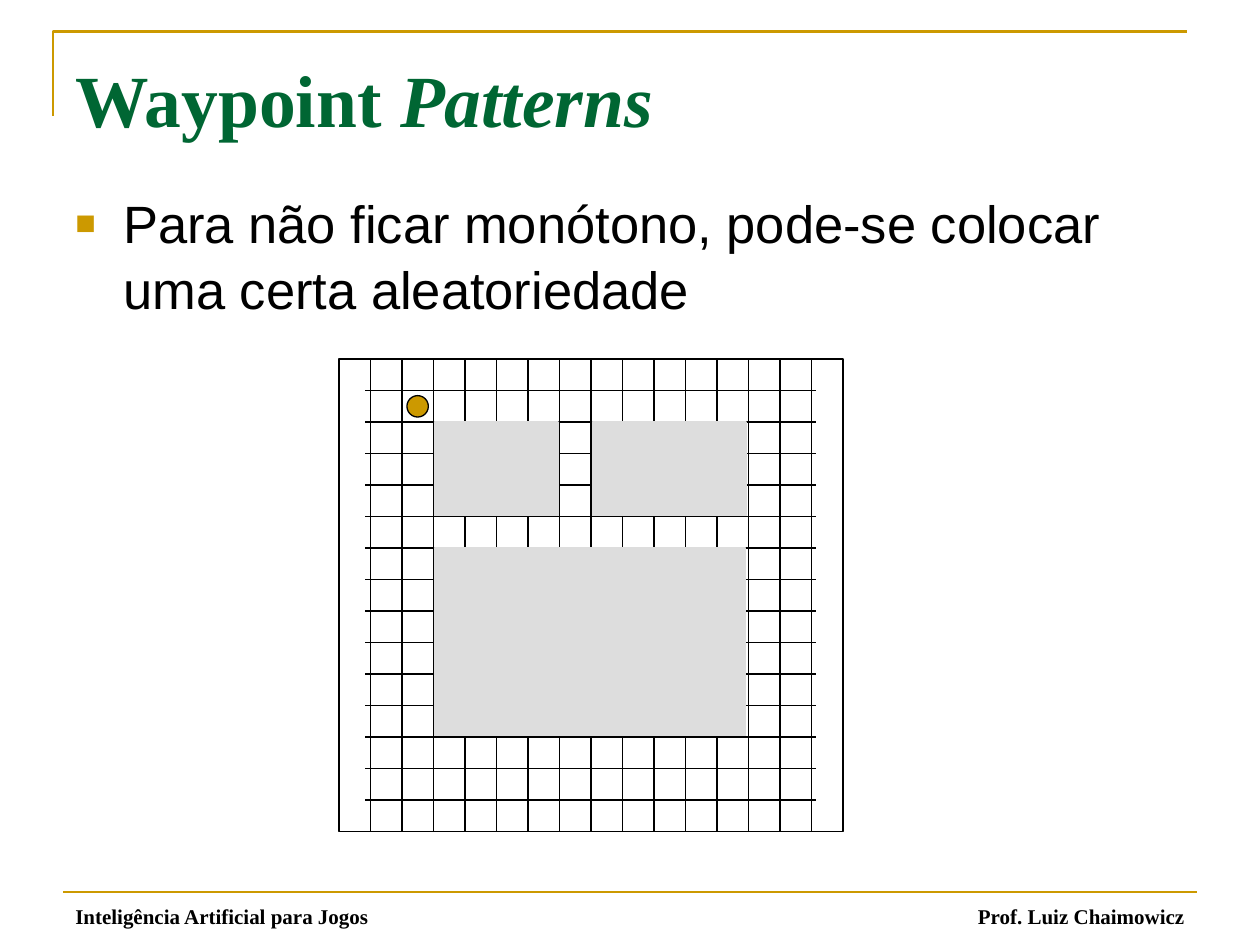
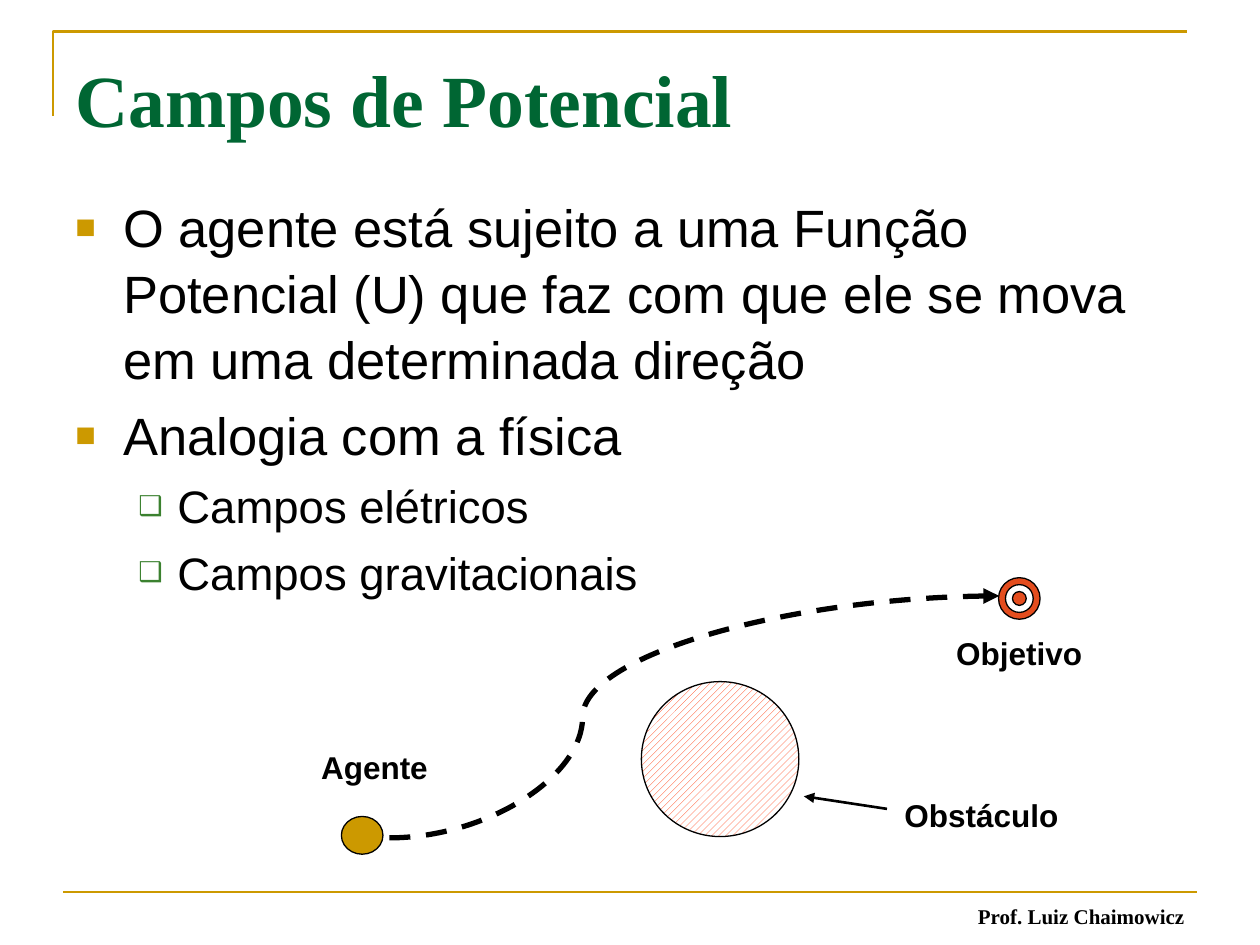
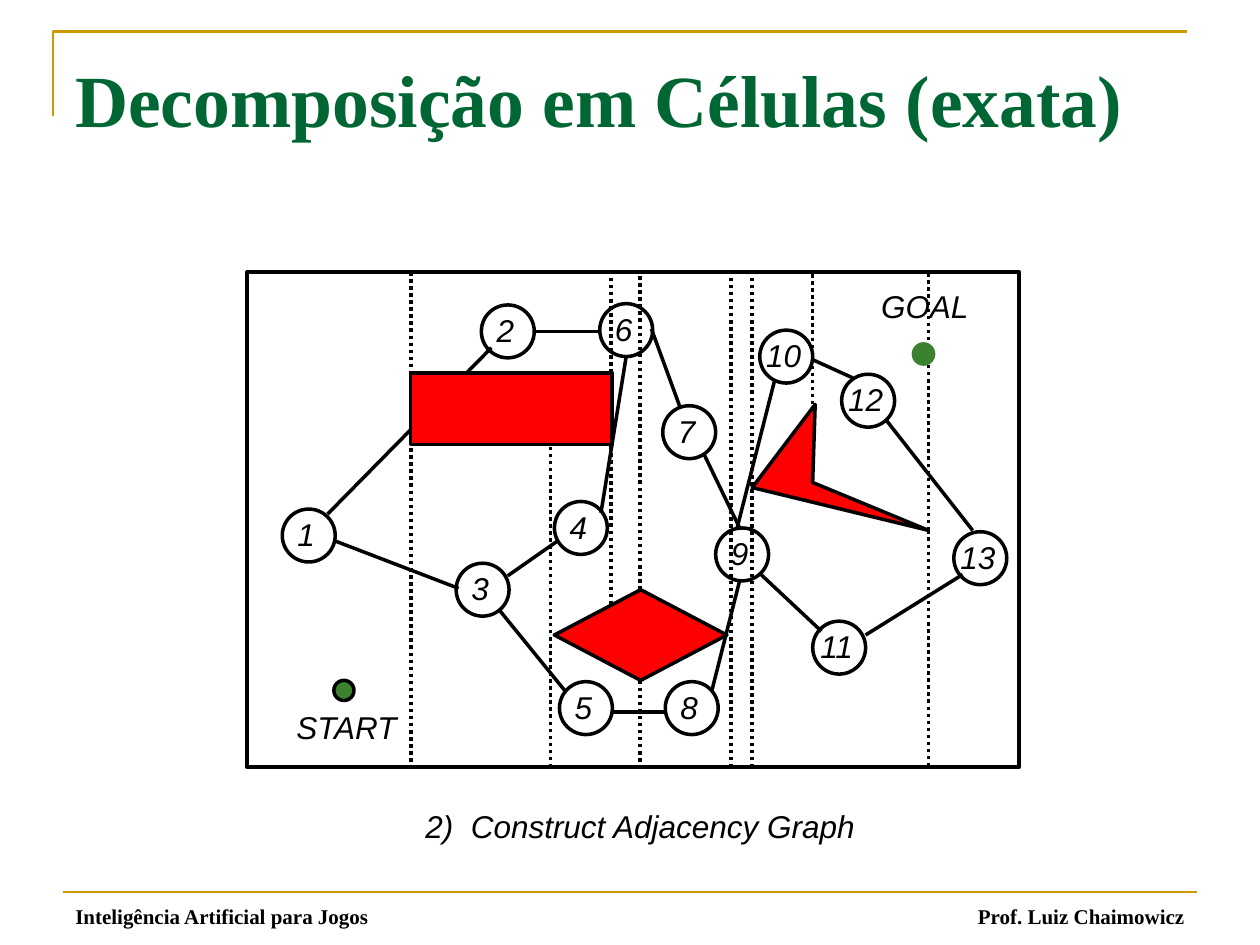
from dataclasses import dataclass

from lxml import etree
from pptx import Presentation
from pptx.dml.color import RGBColor
from pptx.enum.dml import MSO_LINE, MSO_PATTERN
from pptx.enum.shapes import MSO_CONNECTOR, MSO_SHAPE
from pptx.enum.text import MSO_ANCHOR, PP_ALIGN
from pptx.oxml.ns import qn
from pptx.util import Inches, Pt

LEFT, CENTER, RIGHT = PP_ALIGN.LEFT, PP_ALIGN.CENTER, PP_ALIGN.RIGHT
TOP, MIDDLE, BOTTOM = MSO_ANCHOR.TOP, MSO_ANCHOR.MIDDLE, MSO_ANCHOR.BOTTOM
RECTANGLE, ELLIPSE = MSO_SHAPE.RECTANGLE, MSO_SHAPE.OVAL
DIAMOND = MSO_SHAPE.FLOWCHART_DECISION
STRAIGHT, CURVE = MSO_CONNECTOR.STRAIGHT, MSO_CONNECTOR.CURVE
DASH, DOT = MSO_LINE.DASH, MSO_LINE.ROUND_DOT
HATCH = MSO_PATTERN.WIDE_UPWARD_DIAGONAL


@dataclass(frozen=True)
class Theme:
    gold: str = "CC9900"
    title_green: str = "006633"
    green: str = "3B812F"
    black: str = "000000"
    white: str = "FFFFFF"
    gray: str = "DDDDDD"
    red: str = "FF0000"
    hatch_red: str = "FF3300"
    target: str = "E44D1E"
    serif: str = "Times New Roman"
    sans: str = "Arial"
    title_size: int = 42
    body_sizes: tuple = (30, 26)
    label_size: int = 18
    footer_size: int = 12
    thin: float = 0.75
    rule: float = 1.5
    graph: float = 2
    route: float = 3


THEME = Theme()
COURSE = "Inteligência Artificial para Jogos"
TEACHER = "Prof. Luiz Chaimowicz"

BULLETS = (
    {"char": "■", "color": THEME.gold, "scale": 65000, "left": 0.38, "hanging": 0.38},
    {"char": "❑", "color": THEME.green, "scale": 60000, "left": 0.81, "hanging": 0.31},
)

PATTERNS_TITLE = [("Waypoint ", False), ("Patterns", True)]
PATTERNS_BODY = [(0, "Para não ficar monótono, pode-se colocar uma certa aleatoriedade")]
GRID = {"left": 2.69, "top": 2.85, "columns": 16, "rows": 15, "cell": 0.25}
GRID_ROW_ENDS = (2.9, 6.48)
GRID_BLOCKS = [(3.45, 4.35, 2.47, 1.49), (3.45, 3.35, 0.98, 0.74), (4.7, 3.35, 1.22, 0.74)]
GRID_AGENT = (3.23, 3.14, 0.17, 0.17)

POTENTIAL_TITLE = [("Campos de Potencial", False)]
POTENTIAL_BODY = [
    (0, "O agente está sujeito a uma Função Potencial (U) que faz com que ele se mova "
        "em uma determinada direção"),
    (0, "Analogia com a física"),
    (1, "Campos elétricos"),
    (1, "Campos gravitacionais"),
]
POTENTIAL_LABELS = [
    ("Obstáculo", (7.08, 6.27, 1.42, 0.4)),
    ("Agente", (2.45, 5.89, 1.05, 0.4)),
    ("Objetivo", (7.49, 4.98, 1.2, 0.4)),
]
TARGET_CENTER = (8.09, 4.75)
TARGET_RINGS = [(0.33, THEME.target), (0.22, THEME.white), (0.11, THEME.target)]

CELLS_TITLE = [("Decomposição em Células (exata)", False)]
CELLS_FRAME = (1.96, 2.16, 6.13, 3.93)
CELL_BORDERS = [
    (3.26, 2.16, 6.1), (4.37, 6.09, 3.54), (5.08, 6.1, 5.13), (5.8, 6.09, 2.16),
    (4.85, 3.54, 4.84), (5.08, 4.68, 2.16), (4.85, 2.96, 2.16), (5.97, 6.09, 2.16),
    (7.37, 4.21, 6.09), (6.45, 3.21, 2.16), (7.37, 4.21, 2.16),
]
ARROW_OBSTACLE = [(5.97, 3.87), (6.47, 3.21), (6.45, 3.83), (7.37, 4.21)]
NODE_SIZE = 0.42
NODES = {
    1: (2.24, 4.04), 3: (3.62, 4.47), 2: (3.82, 2.42), 4: (4.4, 3.98), 5: (4.44, 5.41),
    8: (5.28, 5.41), 7: (5.26, 3.22), 9: (5.68, 4.19), 10: (6.03, 2.62), 11: (6.45, 4.93),
    12: (6.68, 2.97), 13: (7.57, 4.22), 6: (4.76, 2.41),
}
HIDDEN_EDGE = ((2.6, 4.08), (3.9, 2.76))
EDGES = [
    ((2.65, 4.29), (3.64, 4.67)), ((4.24, 2.63), (4.76, 2.63)),
    ((5.17, 2.61), (5.4, 3.24)), ((4.03, 4.57), (4.43, 4.29)),
    ((3.97, 4.85), (4.49, 5.49)), ((4.85, 5.65), (5.27, 5.65)),
    ((5.65, 5.48), (5.87, 4.61)), ((6.04, 4.56), (6.52, 5.01)),
    ((6.44, 2.85), (6.77, 3)), ((6.87, 5.04), (7.64, 4.56)),
    ((7.03, 3.33), (7.72, 4.21)), ((4.77, 4.07), (4.97, 2.83)),
    ((5.59, 3.61), (5.87, 4.19)), ((5.85, 4.19), (6.15, 3.01)),
]
CELLS_LABELS = [
    ("GOAL", (6.89, 2.23, 0.9, 0.4)),
    ("START", (2.24, 5.57, 1.02, 0.4)),
    ("2)  Construct Adjacency Graph", (3.27, 6.36, 3.62, 0.4)),
]


def inches(values):
    return [Inches(value) for value in values]


def color(value):
    return RGBColor.from_string(value)


def add_bullet(paragraph, level):
    style = BULLETS[level]
    properties = paragraph._p.get_or_add_pPr()
    properties.set("marL", str(Inches(style["left"])))
    properties.set("indent", str(-Inches(style["hanging"])))
    bullet_color = etree.SubElement(properties, qn("a:buClr"))
    etree.SubElement(bullet_color, qn("a:srgbClr"), val=style["color"])
    etree.SubElement(properties, qn("a:buSzPct"), val=str(style["scale"]))
    etree.SubElement(properties, qn("a:buFont"), typeface=THEME.sans)
    etree.SubElement(properties, qn("a:buChar"), char=style["char"])


def style_font(font, name, size, tone, bold, italic):
    font.name, font.size, font.bold, font.italic = name, Pt(size), bold, italic
    font.color.rgb = color(tone)


def add_text(slide, content, box, name=THEME.sans, size=THEME.label_size, tone=THEME.black,
             bold=False, italic=False, align=LEFT, anchor=TOP, wrap=False):
    frame = slide.shapes.add_textbox(*inches(box)).text_frame
    frame.word_wrap = wrap
    frame.vertical_anchor = anchor
    paragraph = frame.paragraphs[0]
    paragraph.alignment = align
    runs = [(content, italic)] if isinstance(content, str) else content
    for text, slanted in runs:
        run = paragraph.add_run()
        run.text = text
        style_font(run.font, name, size, tone, bold, slanted)


def add_body(slide, items, top):
    frame = slide.shapes.add_textbox(*inches((0.5, top, 9, 6.92 - top))).text_frame
    frame.word_wrap = True
    frame.margin_top = Inches(0.07)
    for index, (level, text) in enumerate(items):
        paragraph = frame.add_paragraph() if index else frame.paragraphs[0]
        size = THEME.body_sizes[level]
        paragraph.level = level
        paragraph.line_spacing = 1.05
        paragraph.space_before = Pt(size * 0.2 if index else 0)
        add_bullet(paragraph, level)
        run = paragraph.add_run()
        run.text = text
        style_font(run.font, THEME.sans, size, THEME.black, False, False)


def style_shape(shape, fill, line, width):
    shape.shadow.inherit = False
    if fill:
        shape.fill.solid()
        shape.fill.fore_color.rgb = color(fill)
    else:
        shape.fill.background()
    shape.line.color.rgb = color(line)
    shape.line.width = Pt(width)


def add_shape(slide, kind, box, fill=None, line=THEME.black, width=THEME.thin):
    shape = slide.shapes.add_shape(kind, *inches(box))
    style_shape(shape, fill, line, width)
    return shape


def add_outline(slide, points, closed, fill=None, line=THEME.black, width=THEME.graph):
    corners = [inches(point) for point in points]
    builder = slide.shapes.build_freeform(*corners[0], scale=1.0)
    builder.add_line_segments(corners[1:], close=closed)
    style_shape(builder.convert_to_shape(), fill, line, width)


def add_line(slide, start, end, tone=THEME.black, width=THEME.thin, dash=None,
             arrow=False, kind=STRAIGHT):
    connector = slide.shapes.add_connector(kind, *inches((*start, *end)))
    connector.line.color.rgb = color(tone)
    connector.line.width = Pt(width)
    if dash:
        connector.line.dash_style = dash
    if arrow:
        etree.SubElement(connector.line._get_or_add_ln(), qn("a:tailEnd"), type="triangle")
    etree.SubElement(connector._element.spPr, qn("a:effectLst"))
    return connector


def add_slide(presentation, title, course=True):
    slide = presentation.slides.add_slide(presentation.slide_layouts[6])
    add_outline(slide, [(0.42, 0.92), (0.42, 0.25), (9.42, 0.25)], False,
                line=THEME.gold, width=THEME.rule)
    add_line(slide, (0.5, 7.08), (9.5, 7.08), THEME.gold, THEME.rule)
    footers = [(TEACHER, (7.17, 7.17, 2.33, 0.25), RIGHT)]
    if course:
        footers.append((COURSE, (0.5, 7.17, 2.83, 0.25), LEFT))
    for text, box, align in footers:
        add_text(slide, text, box, name=THEME.serif, size=THEME.footer_size, bold=True,
                 align=align, anchor=BOTTOM, wrap=True)
    add_text(slide, title, (0.5, 0.3, 9, 0.95), name=THEME.serif, size=THEME.title_size,
             tone=THEME.title_green, bold=True, anchor=MIDDLE, wrap=True)
    return slide


def build_patterns(presentation):
    slide = add_slide(presentation, PATTERNS_TITLE)
    add_body(slide, PATTERNS_BODY, 1.42)
    left, top, cell = GRID["left"], GRID["top"], GRID["cell"]
    width, height = GRID["columns"] * cell, GRID["rows"] * cell
    add_shape(slide, RECTANGLE, (left, top, width, height))
    for column in range(1, GRID["columns"]):
        x = left + column * cell
        add_line(slide, (x, top), (x, top + height))
    add_line(slide, (left, top + height), (6.28, top + height))
    row_start, row_end = GRID_ROW_ENDS
    for row in range(1, GRID["rows"]):
        y = top + row * cell
        add_line(slide, (row_start, y), (row_end, y))
    add_shape(slide, ELLIPSE, GRID_AGENT, THEME.gold)
    for block in GRID_BLOCKS:
        add_shape(slide, RECTANGLE, block, THEME.gray, THEME.gray)


def build_potential(presentation):
    slide = add_slide(presentation, POTENTIAL_TITLE, course=False)
    add_body(slide, POTENTIAL_BODY, 1.45)
    obstacle = add_shape(slide, ELLIPSE, (5.09, 5.41, 1.25, 1.23))
    obstacle.fill.patterned()
    obstacle.fill.pattern = HATCH
    obstacle.fill.fore_color.rgb = color(THEME.hatch_red)
    obstacle.fill.back_color.rgb = color(THEME.white)
    add_shape(slide, ELLIPSE, (2.71, 6.48, 0.33, 0.3), THEME.gold)
    for text, box in POTENTIAL_LABELS:
        add_text(slide, text, box, bold=True)
    route = add_line(slide, (3.09, 6.65), (7.93, 4.73), width=THEME.route, dash=DASH,
                     arrow=True, kind=CURVE)
    geometry = route._element.spPr.find(qn("a:prstGeom"))
    adjustments = geometry.find(qn("a:avLst"))
    if adjustments is None:
        adjustments = etree.SubElement(geometry, qn("a:avLst"))
    etree.SubElement(adjustments, qn("a:gd"), name="adj1", fmla="val 31700")
    add_line(slide, (7.04, 6.42), (6.38, 6.32), width=THEME.rule, arrow=True)
    center_x, center_y = TARGET_CENTER
    for size, fill in TARGET_RINGS:
        add_shape(slide, ELLIPSE, (center_x - size / 2, center_y - size / 2, size, size), fill)


def build_cells(presentation):
    slide = add_slide(presentation, CELLS_TITLE)
    add_line(slide, *HIDDEN_EDGE, width=THEME.graph)
    add_shape(slide, RECTANGLE, CELLS_FRAME, width=THEME.graph)
    add_shape(slide, ELLIPSE, (2.65, 5.4, 0.16, 0.16), THEME.green, width=THEME.graph)
    for x, start, end in CELL_BORDERS:
        add_line(slide, (x, start), (x, end), width=THEME.graph, dash=DOT)
    add_shape(slide, RECTANGLE, (3.26, 2.96, 1.6, 0.57), THEME.red, width=THEME.graph)
    add_shape(slide, ELLIPSE, (7.25, 2.73, 0.16, 0.16), THEME.green, THEME.green, THEME.graph)
    add_outline(slide, ARROW_OBSTACLE, True, THEME.red)
    add_shape(slide, DIAMOND, (4.4, 4.68, 1.37, 0.72), THEME.red, width=THEME.graph)
    for number, (x, y) in NODES.items():
        add_shape(slide, ELLIPSE, (x, y, NODE_SIZE, NODE_SIZE), width=THEME.graph)
        label_width = 0.34 if number < 10 else 0.48
        add_text(slide, str(number), (x + 0.19 - label_width / 2, y, label_width, 0.4),
                 italic=True, align=CENTER)
    for text, box in CELLS_LABELS:
        add_text(slide, text, box, italic=True, align=CENTER)
    for start, end in EDGES:
        add_line(slide, start, end, width=THEME.graph)


def main():
    presentation = Presentation()
    presentation.slide_width = Inches(10)
    presentation.slide_height = Inches(7.5)
    build_patterns(presentation)
    build_potential(presentation)
    build_cells(presentation)
    presentation.save("out.pptx")


if __name__ == "__main__":
    main()
